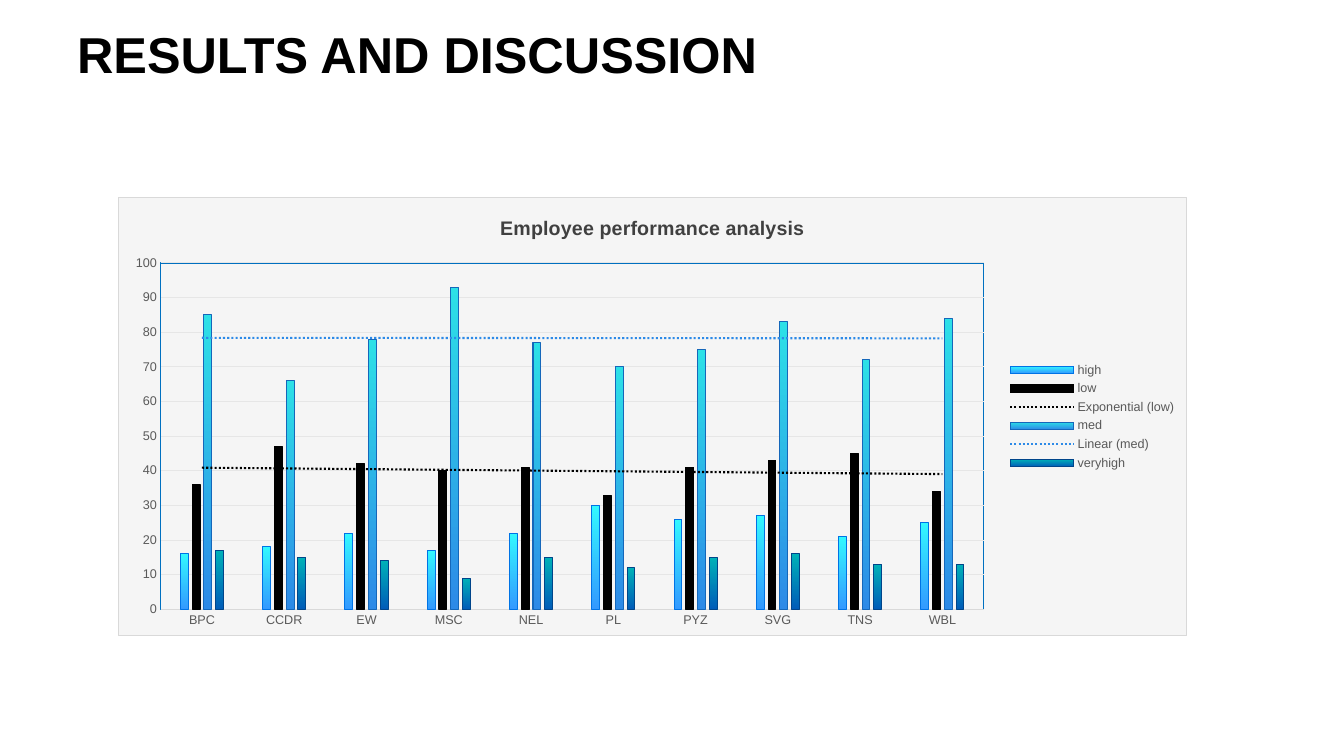
"""Build the results slide with its employee performance chart."""
from pptx import Presentation
from pptx.chart.data import CategoryChartData as ChartData
from pptx.dml.color import RGBColor as RGB
from pptx.enum.chart import XL_CHART_TYPE as Kind
from pptx.enum.chart import XL_LEGEND_POSITION as Side
from pptx.enum.chart import XL_TICK_MARK as Tick
from pptx.enum.text import MSO_ANCHOR as Anchor
from pptx.oxml import parse_xml
from pptx.oxml.ns import nsdecls, qn
from pptx.util import Pt

FONT = "Arial"
HEX = {
    "black": "000000", "head": "404040", "label": "595959",
    "edge": "D9D9D9", "grid": "E6E6E6", "panel": "F5F5F5", "frame": "0070C0",
}
UNITS = ["BPC", "CCDR", "EW", "MSC", "NEL", "PL", "PYZ", "SVG", "TNS", "WBL"]
BARS = [
    ("high", [16, 18, 22, 17, 22, 30, 26, 27, 21, 25],
     ["33F8FF", "3399FF"], "0073E5"),
    ("low", [36, 47, 42, 40, 41, 33, 41, 43, 45, 34],
     ["000000"], "000000"),
    ("med", [85, 66, 78, 93, 77, 70, 75, 83, 72, 84],
     ["2DE0E7", "2D8AE7"], "1567BA"),
    ("veryhigh", [17, 15, 14, 9, 15, 12, 15, 16, 13, 13],
     ["00B1B8", "005CB8"], "00458A"),
]
TRENDS = {"low": ("exp", "000000"), "med": ("linear", "2D8AE7")}


def set_font(font, size, color, bold=False):
    font.name, font.size, font.bold = FONT, Pt(size), bold
    font.color.rgb = RGB.from_string(color)


def set_line(line, color):
    line.width = Pt(0.75)
    line.color.rgb = RGB.from_string(color)


def make_props(fill, line, width=0.75, dash="solid"):
    paint = f'<a:solidFill><a:srgbClr val="{fill}"/></a:solidFill>' if fill else "<a:noFill/>"
    return (
        f'<c:spPr {nsdecls("c", "a")}>{paint}<a:ln w="{int(Pt(width))}">'
        f'<a:solidFill><a:srgbClr val="{line}"/></a:solidFill>'
        f'<a:prstDash val="{dash}"/></a:ln></c:spPr>'
    )


def add_title(slide, text):
    box = slide.shapes.add_textbox(Pt(48), Pt(15), Pt(864), Pt(46))
    frame = box.text_frame
    frame.word_wrap = True
    frame.vertical_anchor = Anchor.MIDDLE
    frame.text = text
    set_font(frame.paragraphs[0].runs[0].font, 36, HEX["black"], True)


def add_trend(series, kind, color):
    props = make_props(None, color, 1.5, "sysDot")
    trend = parse_xml(
        f'<c:trendline {nsdecls("c")}>{props}<c:trendlineType val="{kind}"/>'
        '<c:dispRSqr val="0"/><c:dispEq val="0"/></c:trendline>'
    )
    series._element.find(qn("c:cat")).addprevious(trend)


def style_bar(series, fills, edge):
    fill = series.format.fill
    if len(fills) == 1:
        fill.solid()
        fill.fore_color.rgb = RGB.from_string(fills[0])
    else:
        fill.gradient()
        fill.gradient_angle = 270
        for stop, color in zip(fill.gradient_stops, fills):
            stop.color.rgb = RGB.from_string(color)
    set_line(series.format.line, edge)
    if series.name in TRENDS:
        add_trend(series, *TRENDS[series.name])


def style_axes(chart):
    for axis in (chart.category_axis, chart.value_axis):
        axis.major_tick_mark = axis.minor_tick_mark = Tick.NONE
        set_font(axis.tick_labels.font, 9, HEX["label"])
    set_line(chart.category_axis.format.line, HEX["edge"])
    scale = chart.value_axis
    scale.minimum_scale, scale.maximum_scale, scale.major_unit = 0, 100, 10
    scale.format.line.fill.background()
    set_line(scale.major_gridlines.format.line, HEX["grid"])


def style_areas(chart):
    root = chart._chartSpace
    panel = parse_xml(make_props(HEX["panel"], HEX["edge"]))
    root.find(qn("c:chart")).addnext(panel)
    area = root.find(".//" + qn("c:plotArea"))
    for old in area.findall(qn("c:layout")):
        area.remove(old)
    spots = {"x": 0.04, "y": 0.15, "w": 0.77, "h": 0.79}
    modes = "".join(f'<c:{key}Mode val="edge"/>' for key in "xy")
    sizes = "".join(f'<c:{key} val="{val}"/>' for key, val in spots.items())
    area.insert(0, parse_xml(
        f'<c:layout {nsdecls("c")}><c:manualLayout><c:layoutTarget val="inner"/>'
        f'{modes}{sizes}</c:manualLayout></c:layout>'
    ))
    area.append(parse_xml(make_props(None, HEX["frame"])))


def add_bars(slide, title):
    data = ChartData()
    data.categories = UNITS
    for name, vals, *_ in BARS:
        data.add_series(name, vals)
    chart = slide.shapes.add_chart(
        Kind.COLUMN_CLUSTERED, Pt(84), Pt(140.5), Pt(764), Pt(314), data
    ).chart
    set_font(chart.font, 10, HEX["black"])
    head = chart.chart_title.text_frame
    head.text = title
    set_font(head.paragraphs[0].runs[0].font, 14, HEX["head"], True)
    chart.has_legend = True
    chart.legend.position = Side.RIGHT
    chart.legend.include_in_layout = False
    set_font(chart.legend.font, 9, HEX["label"])
    plot = chart.plots[0]
    plot.gap_width, plot.overlap, plot.vary_by_categories = 500, -50, False
    for series, (_, _, fills, edge) in zip(plot.series, BARS):
        style_bar(series, fills, edge)
    style_axes(chart)
    style_areas(chart)


def main():
    deck = Presentation()
    deck.slide_width, deck.slide_height = Pt(960), Pt(540)
    slide = deck.slides.add_slide(deck.slide_layouts[6])
    add_title(slide, "RESULTS AND DISCUSSION")
    add_bars(slide, "Employee performance analysis")
    deck.save("out.pptx")


if __name__ == "__main__":
    main()
